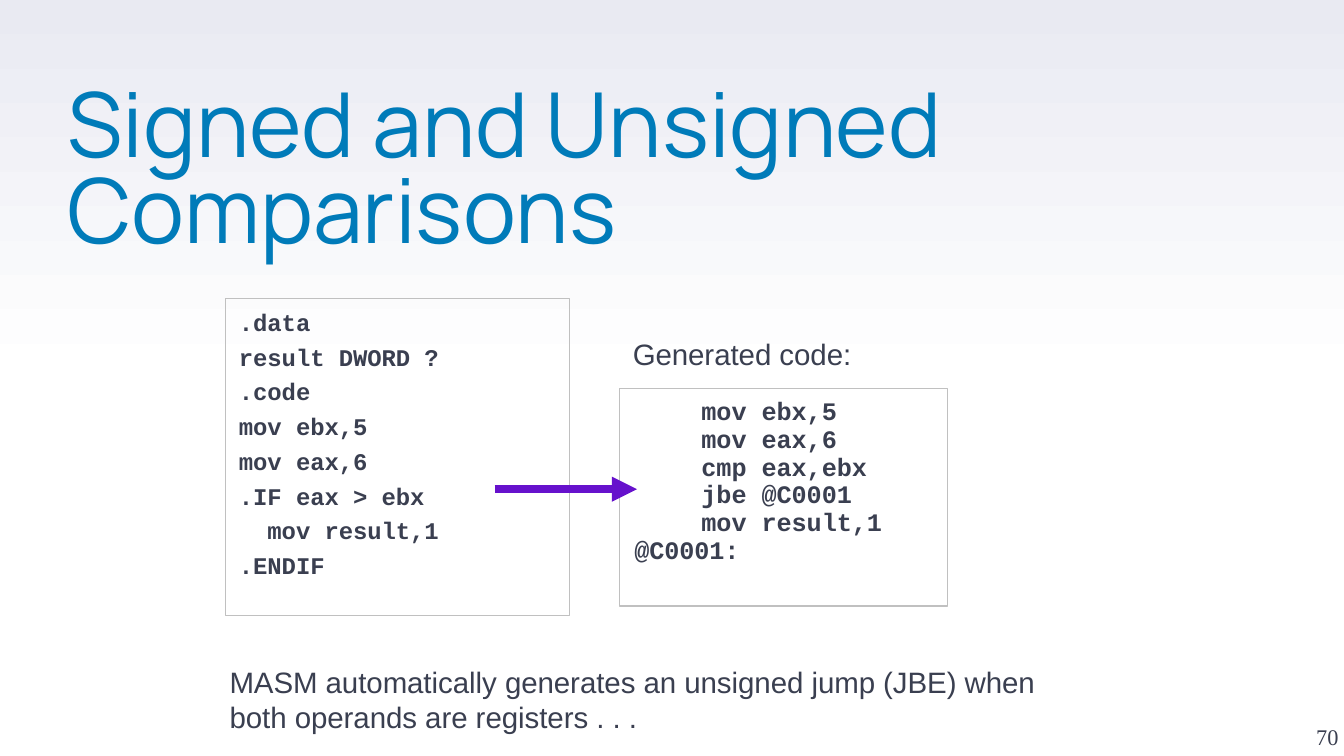
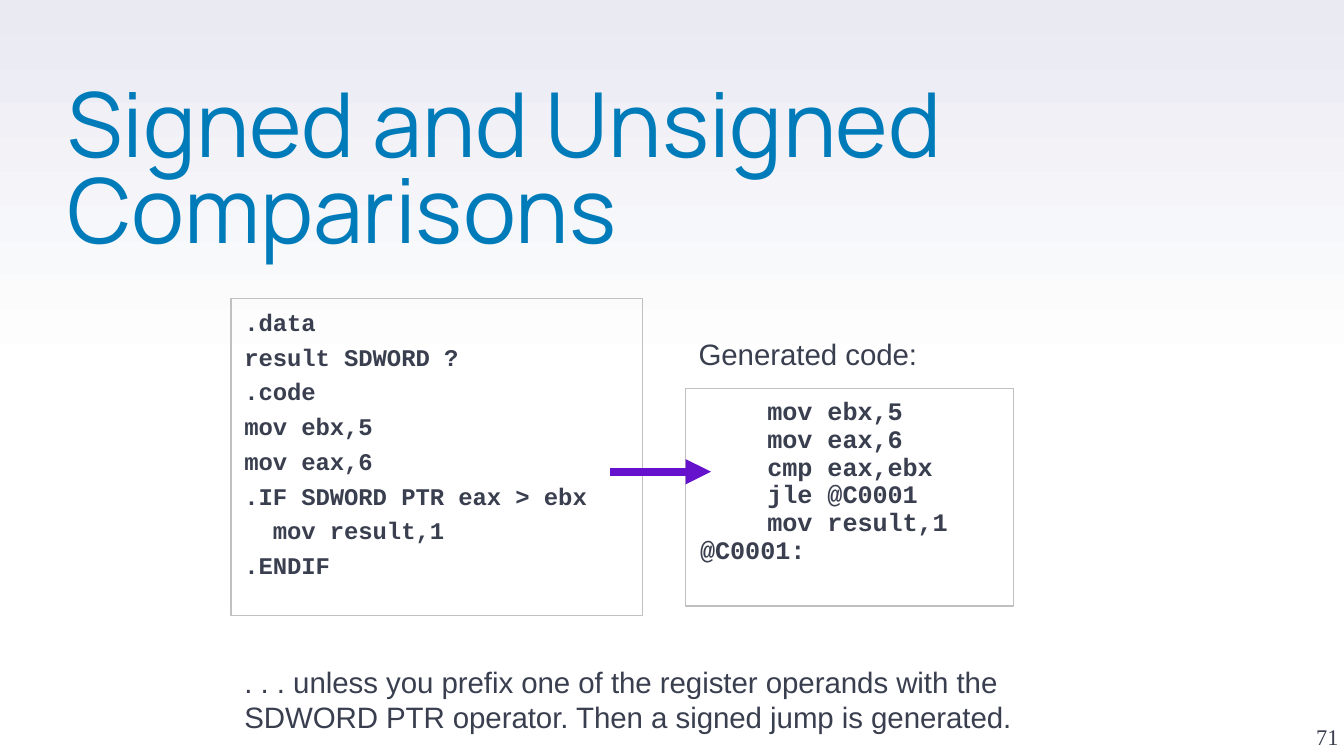
from dataclasses import dataclass
from lxml import etree
from pptx import Presentation
from pptx.dml.color import RGBColor
from pptx.enum.shapes import MSO_CONNECTOR, MSO_SHAPE
from pptx.enum.text import MSO_ANCHOR, PP_ALIGN
from pptx.oxml.ns import qn
from pptx.util import Inches, Pt

STRAIGHT = MSO_CONNECTOR.STRAIGHT
RECTANGLE = MSO_SHAPE.RECTANGLE
TOP, BOTTOM = MSO_ANCHOR.TOP, MSO_ANCHOR.BOTTOM
LEFT, RIGHT = PP_ALIGN.LEFT, PP_ALIGN.RIGHT


@dataclass(frozen=True)
class Style:
    """Typeface, size, colour and line spacing of a kind of text."""
    font: str
    size: float
    color: str
    bold: bool = False
    line: float = 1.0


@dataclass(frozen=True)
class Theme:
    """Colours and type shared by every page."""
    white: str = "FFFFFF"
    haze: str = "E9EAF2"
    border: str = "C0C0C0"
    arrow: str = "6611CC"
    title: Style = Style("Manrope", 48, "007BB9", line=0.8)
    body: Style = Style("Arial", 15.75, "3A3F50")
    source: Style = Style("Courier New", 12.75, "3A3F50", True, 0.8)
    generated: Style = Style("Courier New", 13.5, "3A3F50", True, 0.5)
    number: Style = Style("Times New Roman", 12, "3A3F50")


@dataclass(frozen=True)
class Comparison:
    """One page: its code, its caption and where its columns stand."""
    number: int
    kind: str
    condition: str
    jump: str
    caption: str
    source_left: float
    source_width: float
    generated_left: float
    label_width: float
    caption_left: float
    arrow: tuple


THEME = Theme()
TITLE = "Signed and Unsigned Comparisons"
PADDING = (0.1, 0.11)
TAB_STOP = 0.5
COMPARISONS = [
    Comparison(70, "DWORD", "eax > ebx", "jbe",
               "MASM automatically generates an unsigned jump (JBE) when "
               "both operands are registers . . .",
               1.68, 2.56, 4.61, 3.38, 1.61, (3.68, 4.74, 3.64)),
    Comparison(71, "SDWORD", "SDWORD PTR eax > ebx", "jle",
               ". . . unless you prefix one of the register operands with the "
               "SDWORD PTR operator. Then a signed jump is generated.",
               1.72, 3.06, 5.1, 2.56, 1.72, (4.54, 5.29, 3.51)),
]


def rgb(color):
    """Turn a hex string into a colour."""
    return RGBColor.from_string(color)


def add_tab_stop(para):
    """Give a paragraph one left tab stop."""
    stops = etree.SubElement(para._p.get_or_add_pPr(), qn("a:tabLst"))
    etree.SubElement(stops, qn("a:tab"), pos=str(Inches(TAB_STOP)), algn="l")


def write(shape, text, style, padding=(0, 0), anchor=TOP, align=LEFT):
    """Fill a shape with text, half a size of space between paragraphs."""
    frame = shape.text_frame
    frame.word_wrap = True
    frame.vertical_anchor = anchor
    frame.margin_left = frame.margin_right = Inches(padding[0])
    frame.margin_top = frame.margin_bottom = Inches(padding[1])
    frame.text = text
    for index, para in enumerate(frame.paragraphs):
        if "\t" in para.text:
            add_tab_stop(para)
        para.alignment = align
        para.line_spacing = style.line
        para.space_before = Pt(style.size / 2 if index else 0)
        for span in para.runs:
            span.font.name = style.font
            span.font.size = Pt(style.size)
            span.font.bold = style.bold
            span.font.color.rgb = rgb(style.color)


def add_text(page, box, text, style, **layout):
    """Place a plain text box."""
    write(page.shapes.add_textbox(*map(Inches, box)), text, style, **layout)


def add_code(page, box, lines, style, padding):
    """Place lines of code in a thin frame."""
    frame = page.shapes.add_shape(RECTANGLE, *map(Inches, box))
    frame.shadow.inherit = False
    frame.fill.background()
    frame.line.color.rgb = rgb(THEME.border)
    frame.line.width = Pt(0.75)
    write(frame, "\n".join(lines), style, padding)


def add_arrow(page, start, end, height):
    """Draw the thick arrow from source to generated code."""
    arrow = page.shapes.add_connector(
        STRAIGHT, *map(Inches, (start, height, end, height)))
    arrow.line.color.rgb = rgb(THEME.arrow)
    arrow.line.width = Pt(4.5)
    etree.SubElement(arrow.line._get_or_add_ln(), qn("a:tailEnd"), type="triangle")
    etree.SubElement(arrow._element.spPr, qn("a:effectLst"))


def add_base(page, number):
    """Set the background, title and page number."""
    fill = page.background.fill
    fill.gradient()
    fill.gradient_angle = 90
    for stop, position, color in zip(
            fill.gradient_stops, (0.5, 1), (THEME.white, THEME.haze)):
        stop.position = position
        stop.color.rgb = rgb(color)
    add_text(page, (0.5, 0.66, 8.96, 1.18), TITLE, THEME.title)
    add_text(page, (9.46, 5.07, 0.5, 0.51), str(number), THEME.number,
             anchor=BOTTOM, align=RIGHT)


def add_source(page, box, item):
    """Place the code as the programmer writes it."""
    lines = [".data", f"result {item.kind} ?", ".code", "mov ebx,5", "mov eax,6",
             f".IF {item.condition}", "  mov result,1", ".ENDIF"]
    add_code(page, box, lines, THEME.source, PADDING)


def add_generated(page, box, item):
    """Place the generated code in its frame."""
    lines = ["\tmov ebx,5", "\tmov eax,6", "\tcmp eax,ebx",
             f"\t{item.jump} @C0001", "\tmov result,1", "@C0001:"]
    add_code(page, box, lines, THEME.generated, (0.11, 0.15))


def add_comparison(deck, item):
    """Build one comparison page."""
    page = deck.slides.add_slide(deck.slide_layouts[6])
    add_base(page, item.number)
    add_generated(page, (item.generated_left, 2.89, 2.44, 1.62), item)
    add_source(page, (item.source_left, 2.22, item.source_width, 2.36), item)
    add_arrow(page, *item.arrow)
    add_text(page, (item.generated_left, 2.39, item.label_width, 0.49),
             "Generated code:", THEME.body, padding=PADDING)
    add_text(page, (item.caption_left, 4.83, 6.38, 0.76), item.caption,
             THEME.body, padding=PADDING)


def main():
    """Build and save the deck in 16:9 format."""
    deck = Presentation()
    deck.slide_width = Inches(10)
    deck.slide_height = deck.slide_width * 9 // 16
    for item in COMPARISONS:
        add_comparison(deck, item)
    deck.save("out.pptx")


if __name__ == "__main__":
    main()
